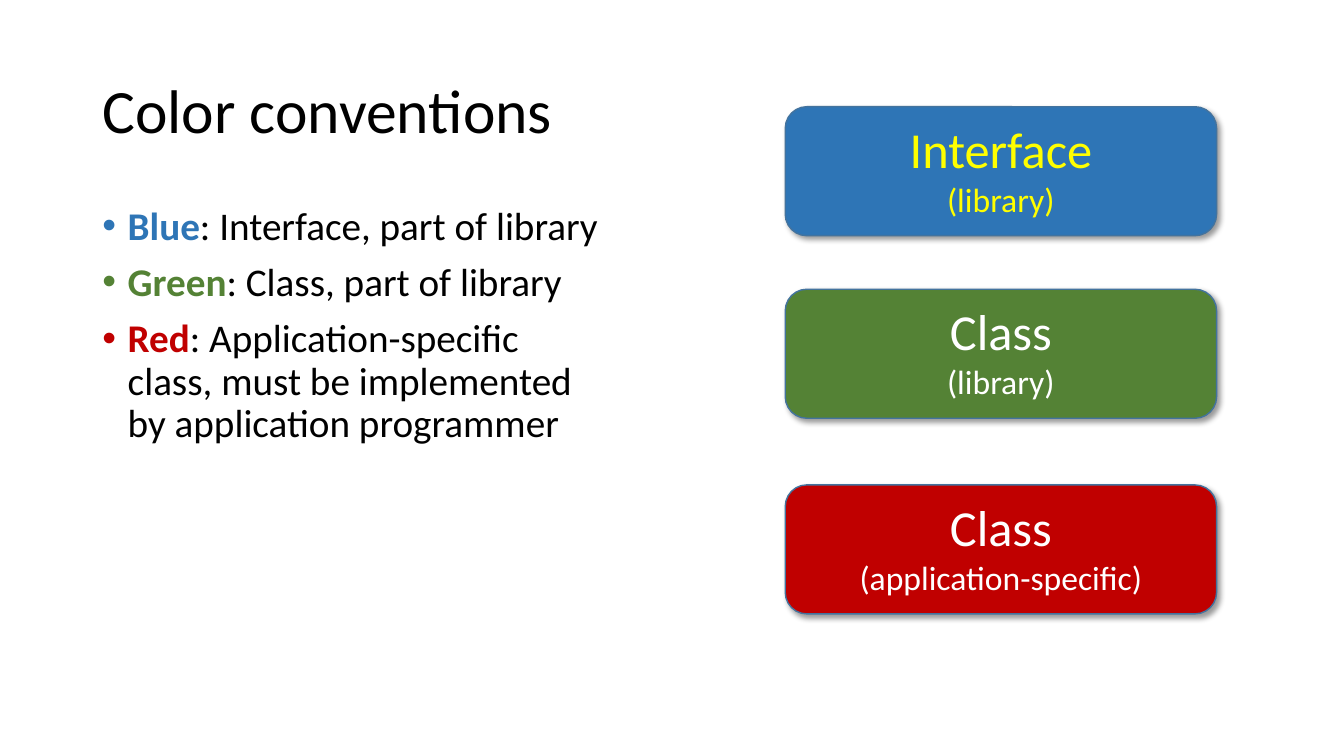
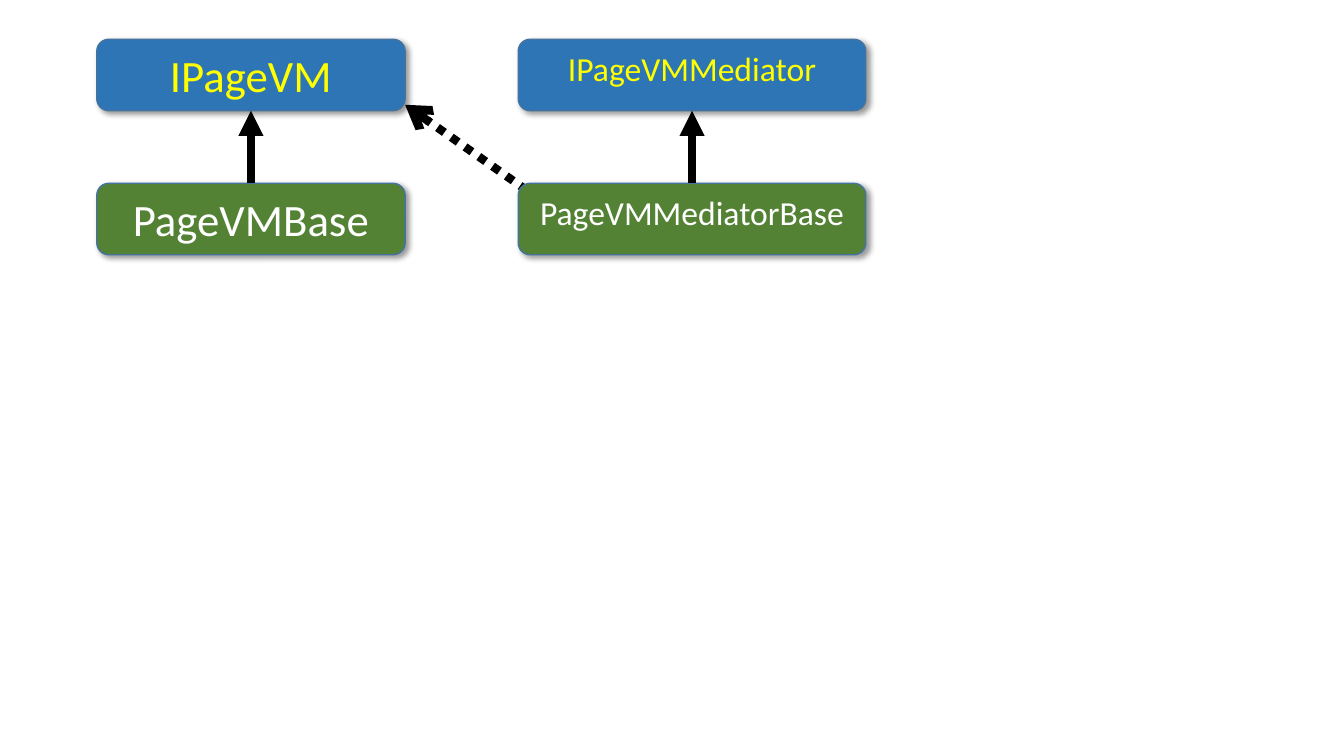
from lxml.etree import SubElement
from pptx import Presentation
from pptx.dml.color import RGBColor
from pptx.enum.dml import MSO_LINE
from pptx.enum.shapes import MSO_CONNECTOR, MSO_SHAPE
from pptx.enum.text import MSO_ANCHOR, MSO_AUTO_SIZE, PP_ALIGN
from pptx.oxml.ns import qn
from pptx.util import Cm, Pt

FONT = "Calibri"
BLACK, WHITE, YELLOW = "000000", "FFFFFF", "FFFF00"
BLUE, GREEN, RED, OUTLINE = "2E75B6", "548235", "C00000", "43739E"
TITLE_ONLY, BLANK = 5, 6


def rgb(value):
    """Turn a hex string into a colour."""
    return RGBColor.from_string(value)


def place(part, box):
    """Move a part to a (left, top, width, height) box in centimetres."""
    part.left, part.top, part.width, part.height = map(Cm, box)


def add_run(paragraph, text, size, color, bold=False):
    """Add one formatted run to a paragraph."""
    run = paragraph.add_run()
    run.text = text
    run.font.name = FONT
    run.font.size = Pt(size)
    run.font.bold = bold
    run.font.color.rgb = rgb(color)


def add_title(slide, text, box):
    """Fill and format the title placeholder."""
    title = slide.shapes.title
    place(title, box)
    frame = title.text_frame
    frame.word_wrap = True
    frame.auto_size = MSO_AUTO_SIZE.NONE
    frame.vertical_anchor = MSO_ANCHOR.MIDDLE
    paragraph = frame.paragraphs[0]
    paragraph.alignment = PP_ALIGN.LEFT
    paragraph.line_spacing = 0.9
    add_run(paragraph, text, 44, BLACK)


def add_bullet(paragraph, color):
    """Give a paragraph a hanging bullet in the given colour."""
    properties = paragraph._p.get_or_add_pPr()
    properties.set("marL", str(Cm(0.64)))
    properties.set("indent", str(-Cm(0.64)))
    bullet_color = SubElement(properties, qn("a:buClr"))
    SubElement(bullet_color, qn("a:srgbClr"), val=color)
    SubElement(properties, qn("a:buFont"), typeface="Arial")
    SubElement(properties, qn("a:buChar"), char="•")


def add_legend(slide, entries, box):
    """List each colour name with its meaning."""
    frame = slide.shapes.add_textbox(*map(Cm, box)).text_frame
    frame.word_wrap = True
    for index, (name, meaning, color) in enumerate(entries):
        paragraph = frame.add_paragraph() if index else frame.paragraphs[0]
        add_bullet(paragraph, color)
        paragraph.line_spacing = 0.9
        paragraph.space_before = Pt(10 if index else 0)
        add_run(paragraph, name, 28, color, True)
        add_run(paragraph, meaning, 28, BLACK)


def add_shadow(card):
    """Cast a soft shadow to the lower right."""
    card.shadow.inherit = False
    effects = card._element.spPr.find(qn("a:effectLst"))
    shadow = SubElement(effects, qn("a:outerShdw"), blurRad=str(Pt(4)),
                        dist=str(Pt(3)), dir="2700000", algn="tl", rotWithShape="0")
    tint = SubElement(shadow, qn("a:srgbClr"), val=BLACK)
    SubElement(tint, qn("a:alpha"), val="40000")


def add_card(slide, lines, fill, box):
    """Draw a rounded type card with (text, size) lines."""
    card = slide.shapes.add_shape(MSO_SHAPE.ROUNDED_RECTANGLE, *map(Cm, box))
    card.fill.solid()
    card.fill.fore_color.rgb = rgb(fill)
    card.line.color.rgb = rgb(OUTLINE)
    card.line.width = Pt(1)
    add_shadow(card)
    frame = card.text_frame
    frame.word_wrap = True
    frame.vertical_anchor = MSO_ANCHOR.TOP
    for index, (text, size) in enumerate(lines):
        paragraph = frame.add_paragraph() if index else frame.paragraphs[0]
        paragraph.alignment = PP_ALIGN.CENTER
        add_run(paragraph, text, size, YELLOW if fill == BLUE else WHITE)


def add_arrow(slide, start, end, head="triangle", dash=None):
    """Draw a heavy arrow between two points in centimetres."""
    arrow = slide.shapes.add_connector(MSO_CONNECTOR.STRAIGHT, *map(Cm, start + end))
    arrow.line.color.rgb = rgb(BLACK)
    arrow.line.width = Pt(6)
    if dash:
        arrow.line.dash_style = dash
    SubElement(arrow.line._get_or_add_ln(), qn("a:tailEnd"), type=head)
    SubElement(arrow._element.spPr, qn("a:effectLst"))


def add_inheritance(slide, interface, base, size, box, card_height=1.8):
    """Stack an interface over its base class, joined by an arrow."""
    left, top, width, height = box
    base_top = top + height - card_height
    add_card(slide, [(interface, size)], BLUE, (left, top, width, card_height))
    add_card(slide, [(base, size)], GREEN, (left, base_top, width, card_height))
    center = left + width / 2
    add_arrow(slide, (center, base_top), (center, top + card_height))


def build_conventions(deck):
    """Build the slide that explains the colours."""
    slide = deck.slides.add_slide(deck.slide_layouts[TITLE_ONLY])
    add_title(slide, "Color conventions", (2.33, 1.01, 29.21, 3.68))
    add_legend(slide, [
        ("Blue", ": Interface, part of library", BLUE),
        ("Green", ": Class, part of library", GREEN),
        ("Red", ": Application-specific class, must be implemented "
                "by application programmer", RED),
    ], (2.33, 5.07, 13.13, 12.09))
    for kind, origin, fill, top in [
        ("Interface", "(library)", BLUE, 2.69),
        ("Class", "(library)", GREEN, 7.29),
        ("Class", "(application-specific)", RED, 12.22),
    ]:
        add_card(slide, [(kind, 36), (origin, 24)], fill, (19.79, top, 10.87, 3.25))


def build_hierarchy(deck):
    """Build the slide with the page and mediator types."""
    slide = deck.slides.add_slide(deck.slide_layouts[BLANK])
    page, mediator = (2.44, 0.99, 7.77, 5.43), (13.06, 0.99, 8.76, 5.43)
    add_arrow(slide, (mediator[0] + 0.22, 4.8), (page[0] + page[2], 2.64),
              "arrow", MSO_LINE.ROUND_DOT)
    add_inheritance(slide, "IPageVM", "PageVMBase", 32, page)
    add_inheritance(slide, "IPageVMMediator", "PageVMMediatorBase", 24, mediator)


def main():
    """Build and save the deck."""
    deck = Presentation()
    deck.slide_width, deck.slide_height = Cm(33.87), Cm(19.05)
    build_conventions(deck)
    build_hierarchy(deck)
    deck.save("out.pptx")


if __name__ == "__main__":
    main()
